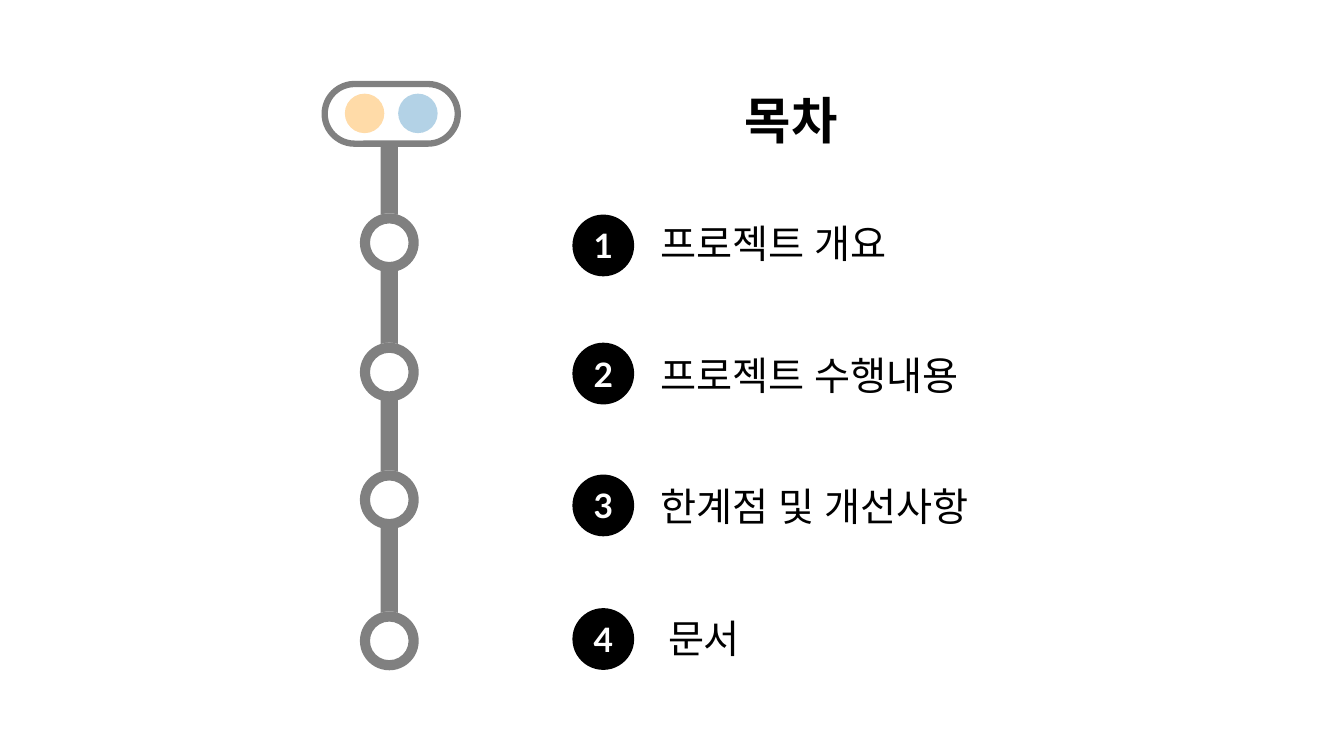
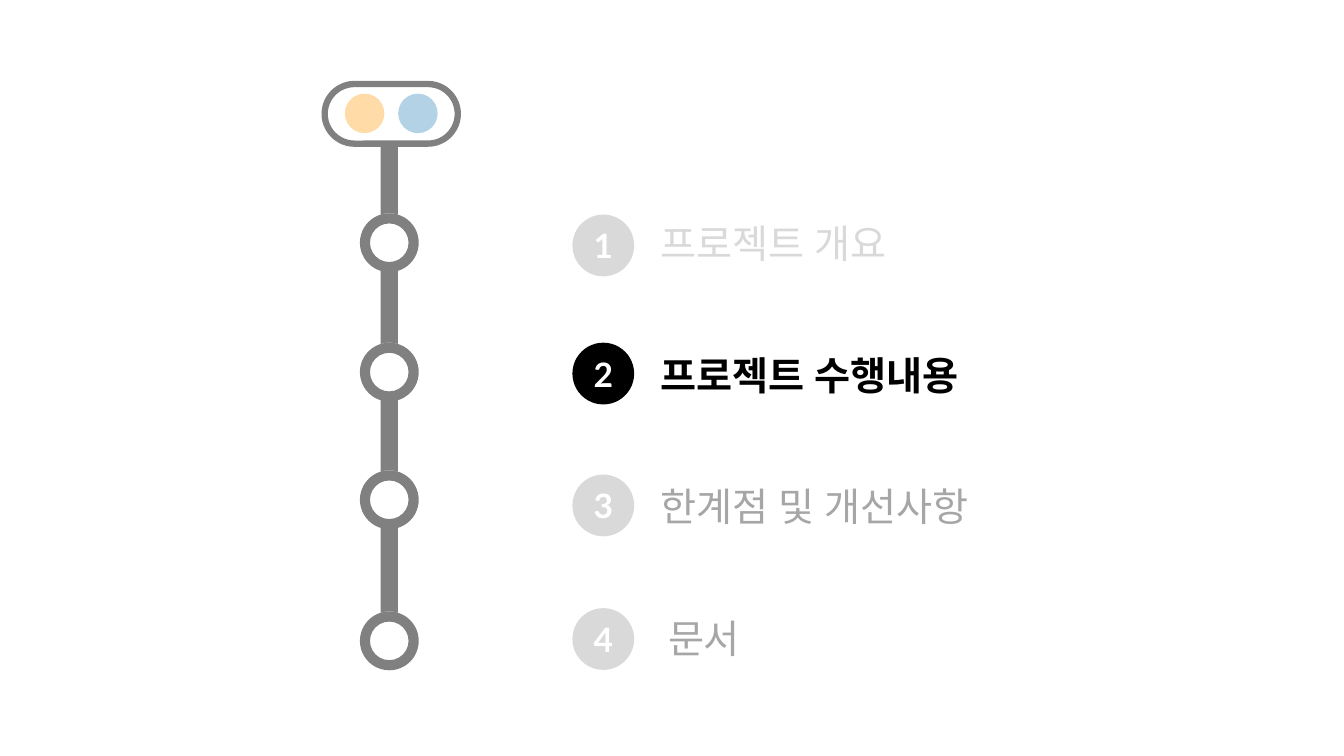
from dataclasses import dataclass

from lxml import etree
from pptx import Presentation
from pptx import util as u
from pptx.dml.color import RGBColor
from pptx.enum import shapes, text
from pptx.oxml import ns

COLUMNS, ROWS = 160, 90  # square grid cells, twelve to the inch
CELL = u.Inches(1) / 12


@dataclass(frozen=True)
class Theme:
    font: str = "Lato"
    ink: str = "000000"
    paper: str = "FFFFFF"
    rail: str = "808080"
    lamp_warm: str = "FFDBA8"
    lamp_cool: str = "B3D2E6"
    faint: str = "D9D9D9"
    muted: str = "A6A6A6"
    title_size: int = 36
    label_size: int = 28
    badge_size: int = 24
    border: float = 4.5


THEME = Theme()
KIND = shapes.MSO_SHAPE
ALIGN = text.PP_ALIGN

RAIL_CENTER = 46.35
STATION_TOPS = (25.4, 40.8, 56, 72.8)
BADGE_TOPS = (25.55, 40.8, 56.5, 72.4)
LABEL_TOP, LABEL_PITCH = 25.55, 15.65
LABELS = (  # wording, left column, columns wide
    ("프로젝트 개요", 77.5, 33.35),
    ("프로젝트 수행내용", 77.5, 43.3),
    ("한계점 및 개선사항", 77.5, 45),
    ("문서", 78.35, 33.35),
)


def cells(*counts):
    return [round(count * CELL) for count in counts]


def add_figure(parent, kind, area, fill, line=None, adjust=None):
    figure = parent.shapes.add_shape(kind, *cells(*area))
    figure.shadow.inherit = False
    figure.fill.solid()
    figure.fill.fore_color.rgb = RGBColor.from_string(fill)
    if line:
        figure.line.color.rgb = RGBColor.from_string(line)
        figure.line.width = u.Pt(THEME.border)
    else:
        figure.line.fill.background()
    if adjust is not None:
        figure.adjustments[0] = adjust
    return figure


def write(box, wording, size, color=THEME.ink, bold=False, align=ALIGN.LEFT):
    para = box.text_frame.paragraphs[0]
    para.alignment = align
    span = para.add_run()
    span.text = wording
    font = span.font
    font.name, font.size, font.bold = THEME.font, u.Pt(size), bold
    font.color.rgb = RGBColor.from_string(color)
    # Hangul takes its typeface from the East Asian slot
    latin = span._r.rPr.find(ns.qn("a:latin"))
    latin.addnext(etree.Element(ns.qn("a:ea"), typeface=THEME.font))


def add_text(page, area, wording, **style):
    box = page.shapes.add_textbox(*cells(*area))
    box.text_frame.word_wrap = True
    box.text_frame.auto_size = text.MSO_AUTO_SIZE.SHAPE_TO_FIT_TEXT
    write(box, wording, **style)


def add_station(page, top, outer=7, inner=6.2):
    station = page.shapes.add_group_shape()
    add_figure(station, KIND.OVAL,
               (RAIL_CENTER - inner / 2, top, inner, inner), THEME.paper)
    add_figure(station, KIND.DONUT,
               (RAIL_CENTER - outer / 2, top, outer, outer), THEME.rail, adjust=0.172)


def add_route(page):
    """Draw the signal head, the rail below it and its stations."""
    width = 2.05
    add_figure(page, KIND.RECTANGLE,
               (RAIL_CENTER - width / 2, 17, width, 60.2), THEME.rail)
    add_figure(page, KIND.ROUNDED_RECTANGLE, (38.65, 10, 15.85, 7.1),
               THEME.paper, line=THEME.rail, adjust=0.5)
    for left, color in ((41.05, THEME.lamp_warm), (47.4, THEME.lamp_cool)):
        add_figure(page, KIND.OVAL, (left, 11.15, 4.7, 4.7), color)
    for top in STATION_TOPS:
        add_station(page, top)


def add_badge(page, number, top, fill):
    badge = add_figure(page, KIND.OVAL, (68.15, top, 7.35, 7.35), fill)
    frame = badge.text_frame
    frame.margin_left = frame.margin_right = 0
    frame.margin_top = frame.margin_bottom = 0
    frame.vertical_anchor = text.MSO_ANCHOR.MIDDLE
    write(badge, str(number), THEME.badge_size, THEME.paper, True, ALIGN.CENTER)


def label_color(number, current):
    """Without a current chapter all are ink; else past is faint, coming is muted."""
    if current is None or number == current:
        return THEME.ink
    return THEME.faint if number < current else THEME.muted


def add_chapters(page, current=None):
    for number, (top, label) in enumerate(zip(BADGE_TOPS, LABELS), 1):
        wording, left, width = label
        active = current in (None, number)
        add_badge(page, number, top, THEME.ink if active else THEME.faint)
        label_top = LABEL_TOP + (number - 1) * LABEL_PITCH
        add_text(page, (left, label_top, width, 6.85), wording,
                 size=THEME.label_size, color=label_color(number, current),
                 bold=number == current)


def add_page(deck, title=None, current=None):
    page = deck.slides.add_slide(deck.slide_layouts[6])
    add_route(page)
    if title:
        add_text(page, (87.5, 10, 14.65, 8.5), title,
                 size=THEME.title_size, bold=True, align=ALIGN.JUSTIFY)
    add_chapters(page, current)


def main():
    deck = Presentation()
    deck.slide_width, deck.slide_height = cells(COLUMNS, ROWS)
    add_page(deck, title="목차")
    add_page(deck, current=2)
    deck.save("out.pptx")


if __name__ == "__main__":
    main()
